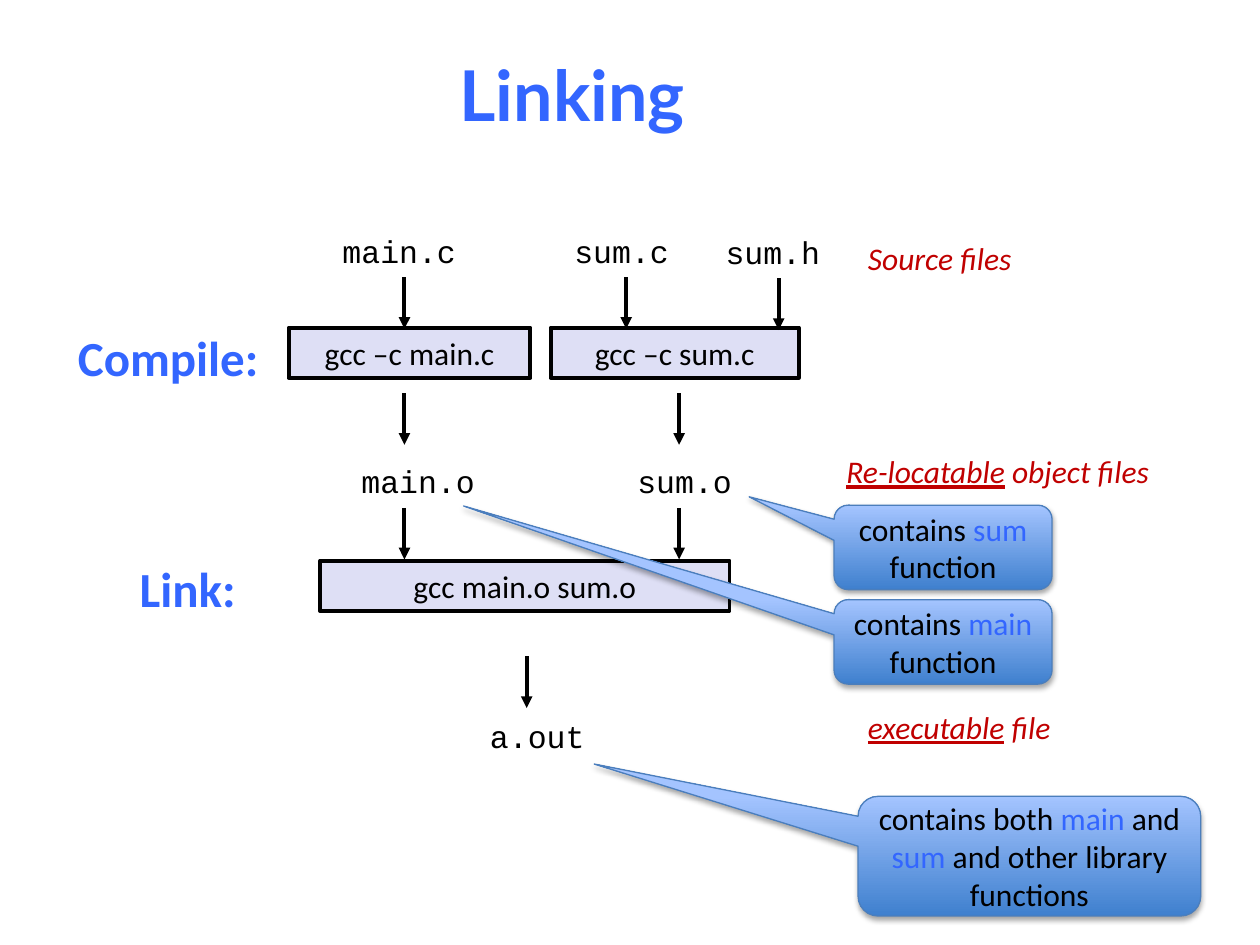
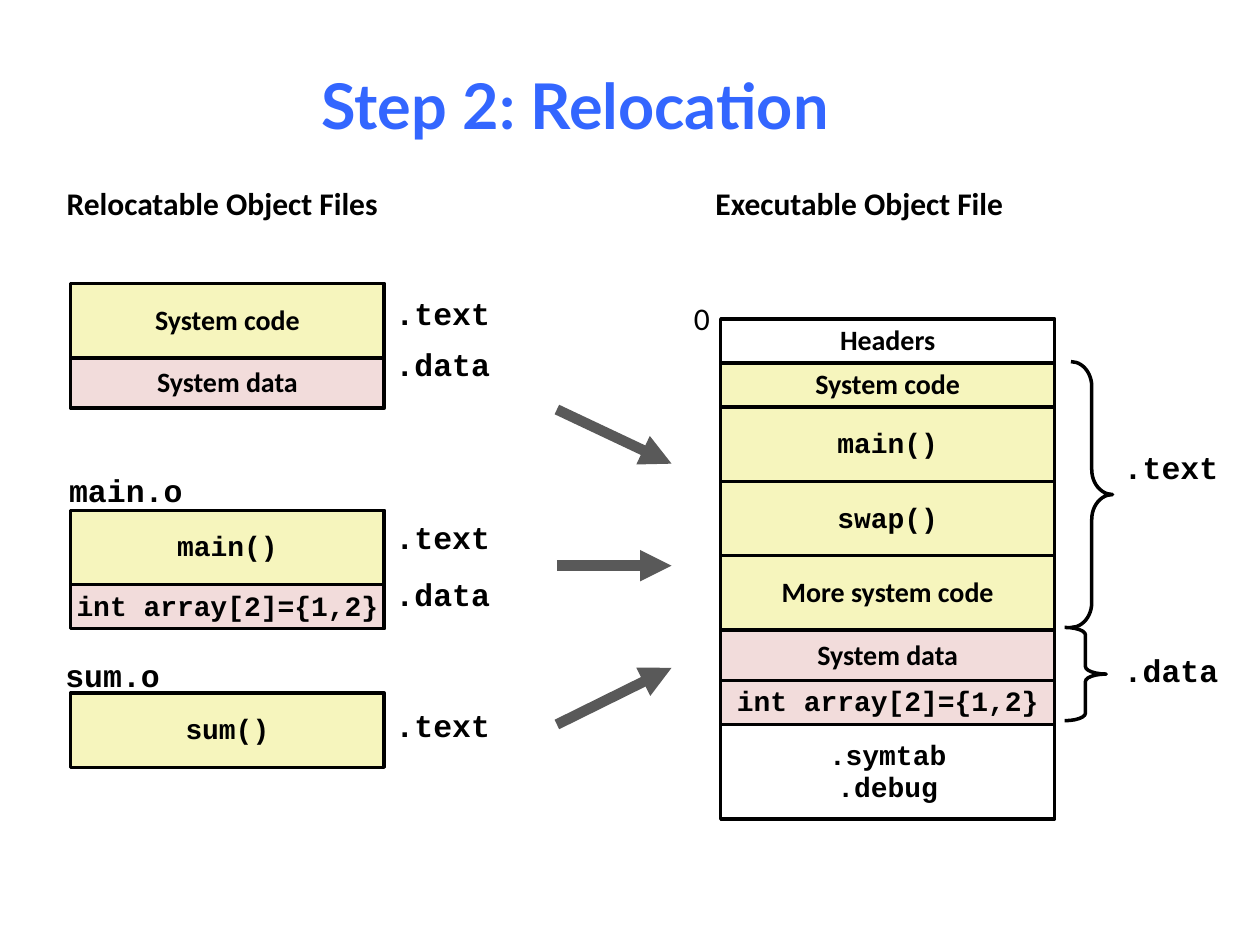
from dataclasses import dataclass
from lxml.etree import SubElement as Sub
from pptx import Presentation
from pptx.dml.color import RGBColor as Rgb
from pptx.enum.shapes import MSO_CONNECTOR as Link, MSO_SHAPE as Kind
from pptx.enum.text import MSO_ANCHOR as Anchor, MSO_AUTO_SIZE as Fit, PP_ALIGN as Align
from pptx.oxml.ns import qn
from pptx.util import Inches, Pt


@dataclass(frozen=True)
class Theme:
    head: str = "Lato"
    body: str = "Calibri"
    code: str = "Courier New"
    ink: str = "000000"
    blue: str = "3366FF"
    red: str = "C00000"
    white: str = "FFFFFF"
    lilac: str = "DEDFF5"
    yellow: str = "F6F5BD"
    pink: str = "F2DCDB"
    gray: str = "595959"
    edge: str = "4B7EBC"
    dark: str = "3F80CE"
    light: str = "A4C4FF"
    step: int = 28
    text: int = 18
    cell: int = 16


@dataclass(frozen=True)
class Box:
    x: float
    y: float
    w: float
    h: float

    def sub(self, x, y, w, h):
        return Box(self.x + x, self.y + y, w, h)

    def dims(self):
        return [Inches(v) for v in (self.x, self.y, self.w, self.h)]


T = Theme()
LEAD = {T.code: 0.94, T.body: 0.98}


def style(frame, font, size, color=T.ink, bold=False, italic=False, align=None, lead=None):
    for par in frame.paragraphs:
        par.alignment = align
        par.line_spacing = lead
        for run in par.runs:
            face = run.font
            face.name, face.size = font, Pt(size)
            face.bold, face.italic = bold, italic
            face.color.rgb = Rgb.from_string(color)


def title(slide, box, text, size):
    head = slide.shapes.title
    head.left, head.top, head.width, head.height = box.dims()
    frame = head.text_frame
    frame.text = text
    frame.vertical_anchor = Anchor.MIDDLE
    style(frame, T.head, size, T.blue, bold=True, align=Align.CENTER)


def label(slide, box, text, font=T.body, size=T.text, **look):
    frame = slide.shapes.add_textbox(*box.dims()).text_frame
    frame.word_wrap = False
    frame.auto_size = Fit.SHAPE_TO_FIT_TEXT
    frame.text = text
    style(frame, font, size, **look)
    return frame


def shape(slide, kind, box, fill=None, line=T.ink, width=2):
    item = slide.shapes.add_shape(kind, *box.dims())
    item.shadow.inherit = False
    if fill:
        item.fill.solid()
        item.fill.fore_color.rgb = Rgb.from_string(fill)
    else:
        item.fill.background()
    item.line.color.rgb = Rgb.from_string(line)
    item.line.width = Pt(width)
    return item


def block(slide, box, text, fill, font, size, width=2, **look):
    frame = shape(slide, Kind.RECTANGLE, box, fill, width=width).text_frame
    frame.word_wrap = False
    frame.vertical_anchor = Anchor.MIDDLE
    frame.text = text
    style(frame, font, size, align=Align.CENTER, **look)


def arrow(slide, box, color=T.ink, width=2.25):
    ends = (box.x, box.y, box.x + box.w, box.y + box.h)
    item = slide.shapes.add_connector(Link.STRAIGHT, *[Inches(v) for v in ends])
    item.line.color.rgb = Rgb.from_string(color)
    item.line.width = Pt(width)
    props = item.element.spPr
    Sub(props.find(qn("a:ln")), qn("a:tailEnd"), type="triangle")
    Sub(props, qn("a:effectLst"))


def bubble(slide, box, tip, parts):
    item = shape(slide, Kind.ROUNDED_RECTANGULAR_CALLOUT, box, line=T.edge, width=0.75)
    item.adjustments[0], item.adjustments[1] = tip
    item.fill.gradient()
    item.fill.gradient_angle = 90
    for stop, color in zip(item.fill.gradient_stops, (T.dark, T.light)):
        stop.color.rgb = Rgb.from_string(color)
    glow = Sub(item.element.spPr.find(qn("a:effectLst")), qn("a:outerShdw"),
               blurRad=str(Pt(3.1)), dist=str(Pt(1.8)), dir="5400000", rotWithShape="0")
    tint = Sub(glow, qn("a:srgbClr"), val=T.ink)
    Sub(tint, qn("a:alpha"), val="35000")
    frame = item.text_frame
    frame.word_wrap = True
    frame.vertical_anchor = Anchor.MIDDLE
    par = frame.paragraphs[0]
    for part in parts:
        par.add_run().text = part
    style(frame, T.body, T.text, align=Align.CENTER)
    for run in par.runs[1::2]:
        run.font.color.rgb = Rgb.from_string(T.blue)


def flow(slide, box):
    steps = [(0, 0.81, 1.92, "gcc –c main.c"), (2.08, 0.81, 1.97, "gcc –c sum.c"),
             (0.25, 2.66, 3.25, "gcc main.o sum.o")]
    files = [(0.33, 0, "main.c"), (2.17, 0, "sum.c"), (3.37, 0.01, "sum.h"),
             (0.48, 1.83, "main.o"), (2.67, 1.83, "sum.o"), (1.5, 3.85, "a.out")]
    drops = [(0.92, 0.41), (2.68, 0.41), (3.89, 0.42), (0.92, 1.33),
             (3.1, 1.33), (0.92, 2.24), (3.1, 2.24), (1.89, 3.42)]
    for x, y, w, text in steps:
        block(slide, box.sub(x, y, w, 0.4), text, T.lilac, T.body, T.text, 2.25)
    for x, y, text in files:
        label(slide, box.sub(x, y, 0.2 + 0.15 * len(text), 0.4), text, T.code)
    for x, y in drops:
        arrow(slide, box.sub(x, y, 0, 0.41))


def stages(slide, box):
    for x, y, w, text in [(0, 0, 1.65, "Compile:"), (0.49, 1.83, 0.97, "Link:")]:
        label(slide, box.sub(x, y, w, 0.57), text, size=T.step, color=T.blue, bold=True)


def notes(slide, box):
    kinds = [(0.17, 0, 1.44, "", "Source files"),
             (0, 1.69, 2.7, "Re-locatable", " object files"),
             (0.17, 3.72, 1.74, "executable", " file")]
    for x, y, w, key, rest in kinds:
        frame = label(slide, box.sub(x, y, w, 0.4), key or rest)
        if key:
            frame.paragraphs[0].add_run().text = rest
        style(frame, T.body, T.text, T.red, italic=True)
        if key:
            frame.paragraphs[0].runs[0].font.underline = True
    hints = [(0, 2.16, 1.73, 0.67, (-0.89, -0.6), ["contains ", "sum", " function"]),
             (0, 2.91, 1.73, 0.67, (-2.2, -1.61), ["contains ", "main ", "function"]),
             (0.19, 4.47, 2.72, 0.95, (-1.27, -0.77),
              ["contains both ", "main ", "and", " sum ", "and other library functions"])]
    for x, y, w, h, tip, parts in hints:
        bubble(slide, box.sub(x, y, w, h), tip, parts)


def stack(slide, box, rows):
    top = 0
    for text, high, fill, font in rows:
        block(slide, box.sub(0, top, box.w, high), text, fill, font, T.cell,
              bold=True, lead=LEAD[font])
        top += high


def tag(slide, box, text):
    label(slide, box, text, T.code, bold=True, lead=LEAD[T.code])


def header(slide, box, text):
    label(slide, box, text, bold=True, lead=LEAD[T.body])


TALL, MID, LOW = 0.59, 0.4, 0.35
CODE = ("System code", TALL, T.yellow, T.body)
DATA = ("System data", MID, T.pink, T.body)
MAIN = ("main()", TALL, T.yellow, T.code)
ARRAY = ("int array[2]={1,2}", LOW, T.pink, T.code)
SUM = ("sum()", TALL, T.yellow, T.code)


def inputs(slide, box):
    header(slide, box.sub(-0.13, 0, 3.53, 0.5), "Relocatable Object Files")
    files = [(0.82, None, [CODE, DATA], (0.06, 0.46)),
             (2.62, (-0.11, -0.34, "main.o"), [MAIN, ARRAY], (0.04, 0.49)),
             (4.07, (-0.14, -0.32, "sum.o"), [SUM], (0.08,))]
    for top, name, rows, tags in files:
        stack(slide, box.sub(0, top, box.w, 0), rows)
        if name:
            x, y, text = name
            tag(slide, box.sub(x, top + y, 0.2 + 0.15 * len(text), 0.39), text)
        for y, text in zip(tags, (".text", ".data")):
            tag(slide, box.sub(box.w - 0.01, top + y, 0.95, 0.39), text)


def merge(slide, box):
    for y, rise in [(0, 0.43), (1.24, 0), (2.5, -0.45)]:
        arrow(slide, box.sub(0, y, box.w, rise), T.gray, 6)


def output(slide, box):
    header(slide, box.sub(-0.14, 0, 3.28, 0.5), "Executable Object File")
    label(slide, box.sub(-0.31, 0.91, 0.34, 0.4), "0", lead=LEAD[T.body])
    rows = [("Headers", LOW, T.white, T.body), ("System code", LOW, T.yellow, T.body),
            MAIN, ("swap()", TALL, T.yellow, T.code),
            ("More system code", TALL, T.yellow, T.body), DATA, ARRAY,
            (".symtab\n.debug", 0.75, T.white, T.code)]
    stack(slide, box.sub(0, 1.1, box.w, 0), rows)
    spans = [(2.78, 1.44, 2.11, 0.6, 2.1, ".text"), (2.73, 3.55, 0.74, 0.18, 3.71, ".data")]
    for x, y, h, bend, mid, text in spans:
        brace = shape(slide, Kind.RIGHT_BRACE, box.sub(x, y, 0.33, h))
        brace.adjustments[0] = bend
        tag(slide, box.sub(3.1, mid, 0.95, 0.39), text)


def main():
    deck = Presentation()
    deck.slide_width, deck.slide_height = Inches(10), Inches(7.5)
    plain = deck.slide_layouts[5]

    slide = deck.slides.add_slide(plain)
    title(slide, Box(0.04, 0.12, 9, 1.25), "Linking", 40)
    flow(slide, Box(2.29, 1.79, 4.33, 4.25))
    stages(slide, Box(0.52, 2.55, 1.65, 2.4))
    notes(slide, Box(6.62, 1.85, 2.91, 5.42))

    slide = deck.slides.add_slide(plain)
    title(slide, Box(0.41, 0.51, 8.31, 0.63), "Step 2: Relocation", 36)
    inputs(slide, Box(0.56, 1.43, 2.49, 4.65))
    merge(slide, Box(4.42, 3.25, 0.91, 2.5))
    output(slide, Box(5.72, 1.43, 2.65, 5.07))

    deck.save("out.pptx")


if __name__ == "__main__":
    main()
